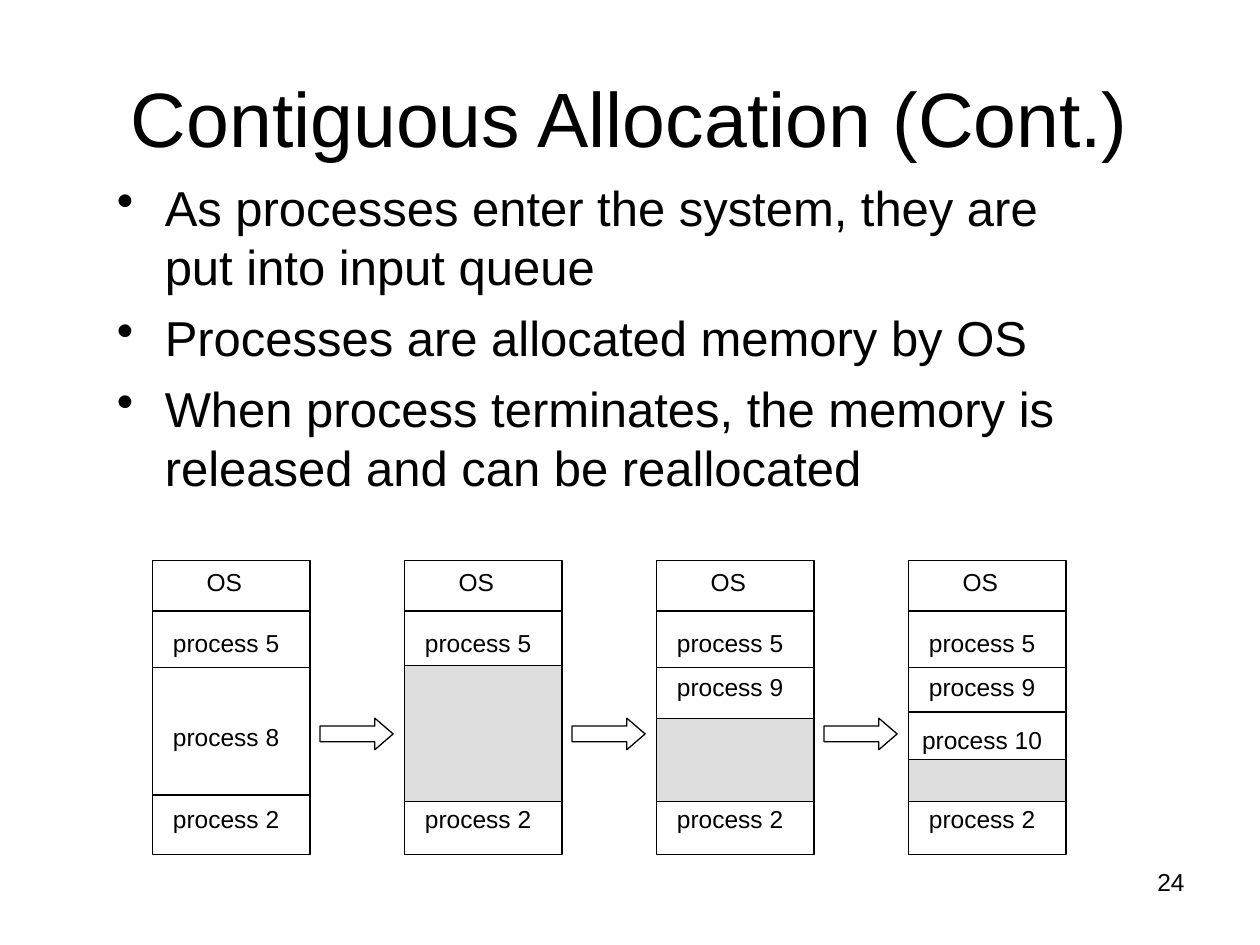
from dataclasses import dataclass

from lxml import etree
from pptx import Presentation
from pptx.dml.color import RGBColor
from pptx.enum.shapes import MSO_CONNECTOR, MSO_SHAPE
from pptx.enum.text import MSO_ANCHOR, PP_ALIGN
from pptx.oxml.ns import qn
from pptx.util import Inches, Pt

RECTANGLE, ARROW = MSO_SHAPE.RECTANGLE, MSO_SHAPE.RIGHT_ARROW
STRAIGHT = MSO_CONNECTOR.STRAIGHT
TOP, MIDDLE = MSO_ANCHOR.TOP, MSO_ANCHOR.MIDDLE
LEFT, CENTER, RIGHT = PP_ALIGN.LEFT, PP_ALIGN.CENTER, PP_ALIGN.RIGHT


@dataclass(frozen=True)
class Theme:
    font: str = "Arial"
    ink: RGBColor = RGBColor(0x00, 0x00, 0x00)
    paper: RGBColor = RGBColor(0xFF, 0xFF, 0xFF)
    free: RGBColor = RGBColor(0xDD, 0xDD, 0xDD)
    title: float = 44
    body: float = 28
    label: float = 14
    outline: float = 0.75


THEME = Theme()
SLIDE_W, SLIDE_H = 10, 7.5

# Memory map grid: one column per state
FIRST_LEFT, COLUMN_STEP, COLUMN_W = 1.21, SLIDE_W / 5, 1.25
MAP_TOP, MAP_H = 4.45, 2.33
DIVIDERS = (4.85, 5.3, 6.31)
LABEL_W, LABEL_H = 1.17, 0.34
ARROW_GAP, ARROW_TOP, ARROW_W, ARROW_H = 0.08, 5.7, 0.58, 0.25
FREE_BOTTOM = 6.36

# Each state: process labels by top, top of the free block, extra dividers
SHARED_LABELS = {"process 5": 4.93, "process 2": 6.33}
STATES = (
    ({"process 8": 5.68}, None, ()),
    ({}, 5.28, ()),
    ({"process 9": 5.28}, 5.7, ()),
    ({"process 9": 5.28, "process 10": 5.7}, 6.03, (5.65,)),
)

BULLETS = (
    "As processes enter the system, they are put into input queue",
    "Processes are allocated memory by OS",
    "When process terminates, the memory is released and can be reallocated",
)


def add_bullet(paragraph, indent=0.38):
    props = paragraph._p.get_or_add_pPr()
    props.set("marL", str(Inches(indent)))
    props.set("indent", str(Inches(-indent)))
    etree.SubElement(props, qn("a:buChar")).set("char", "•")


def add_text(slide, paragraphs, left, top, width, height, size=THEME.label,
             align=CENTER, anchor=MIDDLE, before=0, wrap=True, bullets=False):
    frame = slide.shapes.add_textbox(
        Inches(left), Inches(top), Inches(width), Inches(height)).text_frame
    frame.word_wrap = wrap
    frame.vertical_anchor = anchor
    for index, text in enumerate(paragraphs):
        paragraph = frame.add_paragraph() if index else frame.paragraphs[0]
        paragraph.alignment = align
        paragraph.space_before = Pt(before)
        if bullets:
            add_bullet(paragraph)
        run = paragraph.add_run()
        run.text = text
        run.font.name = THEME.font
        run.font.size = Pt(size)
        run.font.color.rgb = THEME.ink


def add_block(slide, kind, left, top, width, height, fill=THEME.paper):
    block = slide.shapes.add_shape(
        kind, Inches(left), Inches(top), Inches(width), Inches(height))
    block.shadow.inherit = False
    block.fill.solid()
    block.fill.fore_color.rgb = fill
    block.line.color.rgb = THEME.ink
    block.line.width = Pt(THEME.outline)
    return block


def add_divider(slide, left, y):
    divider = slide.shapes.add_connector(
        STRAIGHT, Inches(left), Inches(y), Inches(left + COLUMN_W), Inches(y))
    divider.line.color.rgb = THEME.ink
    divider.line.width = Pt(THEME.outline)
    etree.SubElement(divider._element.spPr, qn("a:effectLst"))


def add_memory_map(slide, left, processes, free_top, extra_dividers):
    add_block(slide, RECTANGLE, left, MAP_TOP, COLUMN_W, MAP_H)
    for y in DIVIDERS + extra_dividers:
        add_divider(slide, left, y)
    if free_top is not None:
        add_block(slide, RECTANGLE, left, free_top, COLUMN_W,
                  FREE_BOTTOM - free_top, fill=THEME.free)
    add_text(slide, ["OS"], left + 0.33, MAP_TOP, 0.48, LABEL_H,
             before=8.8, wrap=False)
    for process, top in (SHARED_LABELS | processes).items():
        add_text(slide, [process], left, top, LABEL_W, LABEL_H, before=8.8)


def add_step_arrow(slide, map_left):
    arrow = add_block(slide, ARROW, map_left + COLUMN_W + ARROW_GAP,
                      ARROW_TOP, ARROW_W, ARROW_H)
    arrow.adjustments[1] = 0.58


def main():
    deck = Presentation()
    deck.slide_width, deck.slide_height = Inches(SLIDE_W), Inches(SLIDE_H)
    slide = deck.slides.add_slide(deck.slide_layouts[6])

    # Title and bullets
    add_text(slide, ["Contiguous Allocation (Cont.)"], 0.5, 0.3, 9, 1.25,
             size=THEME.title)
    add_text(slide, BULLETS, 0.83, 1.36, 8.04, 2.85, size=THEME.body,
             align=LEFT, anchor=TOP, before=7, bullets=True)

    # Memory states, with an arrow from each to the next
    for column, state in enumerate(STATES):
        left = FIRST_LEFT + column * COLUMN_STEP
        add_memory_map(slide, left, *state)
        if column < len(STATES) - 1:
            add_step_arrow(slide, left)

    # Page number
    add_text(slide, ["24"], 7.17, 6.83, 2.33, 0.52, align=RIGHT, anchor=TOP)

    deck.save("out.pptx")


if __name__ == "__main__":
    main()
